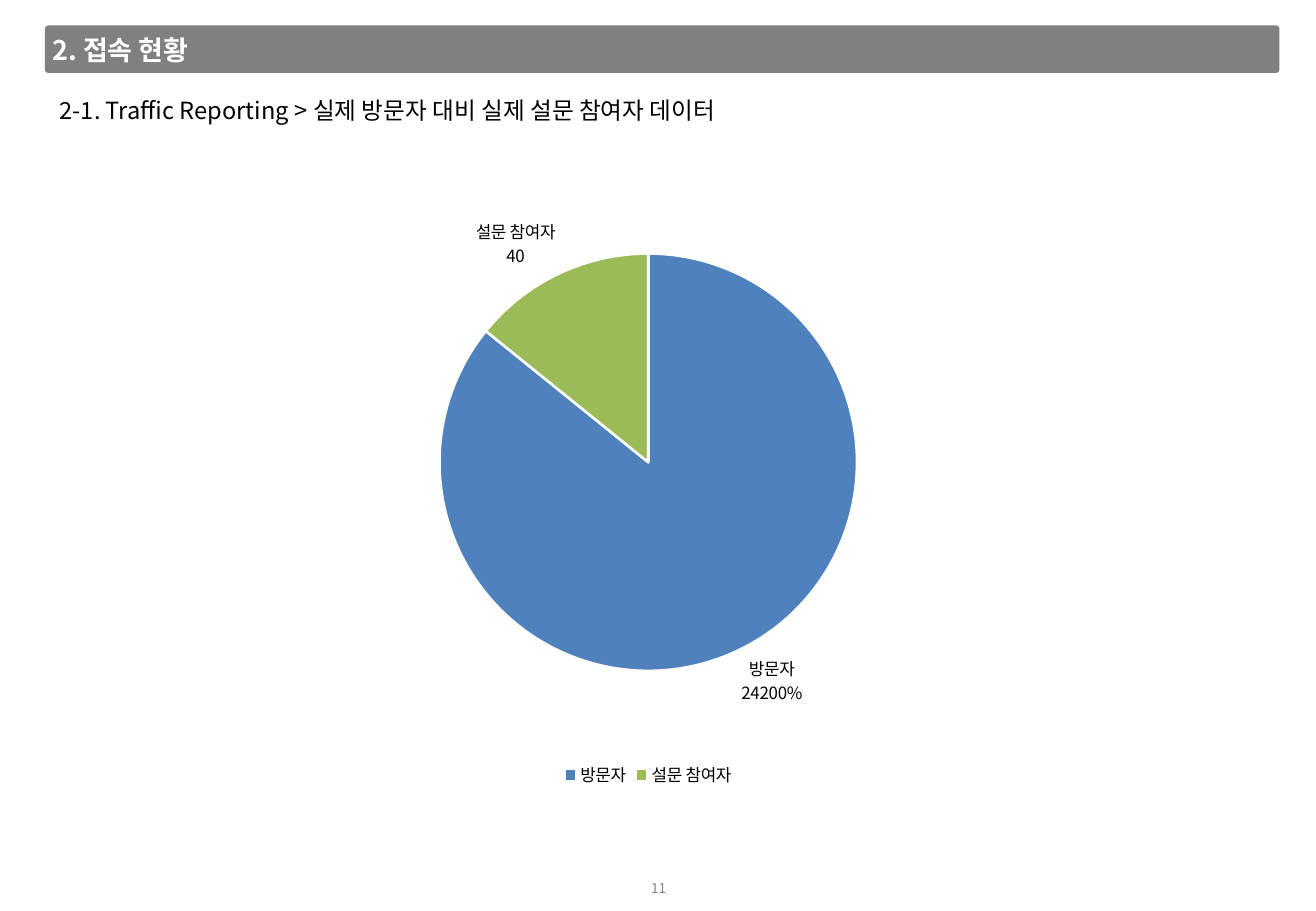
from lxml.etree import SubElement
from pptx import Presentation
from pptx.chart.data import CategoryChartData
from pptx.dml.color import RGBColor
from pptx.enum.chart import XL_CHART_TYPE, XL_LABEL_POSITION, XL_LEGEND_POSITION
from pptx.enum.shapes import MSO_SHAPE
from pptx.enum.text import MSO_ANCHOR, MSO_AUTO_SIZE, PP_ALIGN
from pptx.oxml import parse_xml
from pptx.oxml.ns import nsdecls, qn
from pptx.util import Inches, Pt

FONT = "Noto Sans CJK KR"
COLORS = {
    "bar": "808080",
    "white": "FFFFFF",
    "black": "000000",
    "visitors": "4F81BD",
    "respondents": "9BBB59",
}


def rgb(name):
    return RGBColor.from_string(COLORS[name])


def style_font(font, size, color, bold=False):
    font.name = FONT
    font.size = Pt(size)
    font.bold = bold
    font.color.rgb = rgb(color)
    SubElement(font._element, qn("a:ea")).set("typeface", FONT)
    latin = font._element.find(qn("a:latin"))
    latin.addnext(font._element.find(qn("a:ea")))


def add_heading_bar(slide, left, top, width, height):
    bar = slide.shapes.add_shape(
        MSO_SHAPE.ROUNDED_RECTANGLE, Inches(left), Inches(top), Inches(width), Inches(height)
    )
    bar.adjustments[0] = 0.07
    bar.shadow.inherit = False
    bar.fill.solid()
    bar.fill.fore_color.rgb = rgb("bar")
    bar.line.fill.background()


def add_label(slide, text, box, size, color, bold=False, margin=0.05,
              align=PP_ALIGN.LEFT, anchor=MSO_ANCHOR.TOP):
    label = slide.shapes.add_textbox(*map(Inches, box))
    frame = label.text_frame
    frame.text = text
    frame.word_wrap = False
    frame.auto_size = MSO_AUTO_SIZE.SHAPE_TO_FIT_TEXT
    frame.vertical_anchor = anchor
    frame.margin_left = frame.margin_right = Inches(margin)
    frame.margin_top = frame.margin_bottom = Inches(margin)
    paragraph = frame.paragraphs[0]
    paragraph.alignment = align
    style_font(paragraph.runs[0].font, size, color, bold)


def place_plot(chart, x, y, w, h):
    plot_area = chart._chartSpace.chart.plotArea
    for layout in plot_area.findall(qn("c:layout")):
        plot_area.remove(layout)
    sizes = "".join(
        f'<c:{key} val="{value}"/>' for key, value in zip("xywh", (x, y, w, h))
    )
    plot_area.insert(0, parse_xml(
        f'<c:layout {nsdecls("c")}><c:manualLayout><c:layoutTarget val="inner"/>'
        f'<c:xMode val="edge"/><c:yMode val="edge"/>{sizes}</c:manualLayout></c:layout>'
    ))


def label_slices(series):
    labels = series.data_labels
    labels.show_category_name = True
    labels.show_value = True
    labels.show_percentage = False
    labels.number_format = "General"
    labels.number_format_is_linked = False
    labels.position = XL_LABEL_POSITION.OUTSIDE_END
    style_font(labels.font, 10, "black")
    separator = parse_xml(f'<c:separator {nsdecls("c")}>\n</c:separator>')
    labels._element.find(qn("c:showBubbleSize")).addnext(separator)

    visitors_label = series.points[0].data_label
    visitors_label.text_frame.text = "방문자\n24200%"
    for paragraph in visitors_label.text_frame.paragraphs:
        style_font(paragraph.runs[0].font, 10, "black")
    visitors_label.position = XL_LABEL_POSITION.OUTSIDE_END


def add_participation_pie(slide, left, top, width, height):
    participation = CategoryChartData()
    participation.categories = ["방문자", "설문 참여자"]
    participation.add_series("Series 1", (242, 40))
    chart = slide.shapes.add_chart(
        XL_CHART_TYPE.PIE, Inches(left), Inches(top), Inches(width), Inches(height), participation
    ).chart
    chart.has_title = False
    style_font(chart.font, 10, "black")
    chart.has_legend = True
    chart.legend.position = XL_LEGEND_POSITION.BOTTOM
    chart.legend.include_in_layout = True
    style_font(chart.legend.font, 10, "black")
    place_plot(chart, 0.12, 0.11, 0.76, 0.69)

    pie = chart.plots[0]
    pie.vary_by_categories = True
    series = pie.series[0]
    for index, color in enumerate(("visitors", "respondents")):
        slice_format = series.points[index].format
        slice_format.fill.solid()
        slice_format.fill.fore_color.rgb = rgb(color)
        slice_format.line.color.rgb = rgb("white")
        slice_format.line.width = Pt(1.5)
    label_slices(series)


def main():
    presentation = Presentation()
    presentation.slide_width = Inches(10.83)
    presentation.slide_height = Inches(7.5)
    slide = presentation.slides.add_slide(presentation.slide_layouts[6])

    add_heading_bar(slide, 0.37, 0.21, 10.16, 0.39)
    add_label(slide, "11", (5.31, 7.2, 0.22, 0.22), 8, "bar", margin=0.04,
              align=PP_ALIGN.CENTER, anchor=MSO_ANCHOR.MIDDLE)
    add_label(slide, "2. 접속 현황", (0.38, 0.23, 1.35, 0.37), 16, "white", bold=True)
    add_participation_pie(slide, 3.02, 1.54, 4.63, 4.98)
    add_label(slide, "2-1. Traffic Reporting > 실제 방문자 대비 실제 설문 참여자 데이터",
              (0.44, 0.74, 6.02, 0.34), 14, "black")

    presentation.save("out.pptx")


main()
